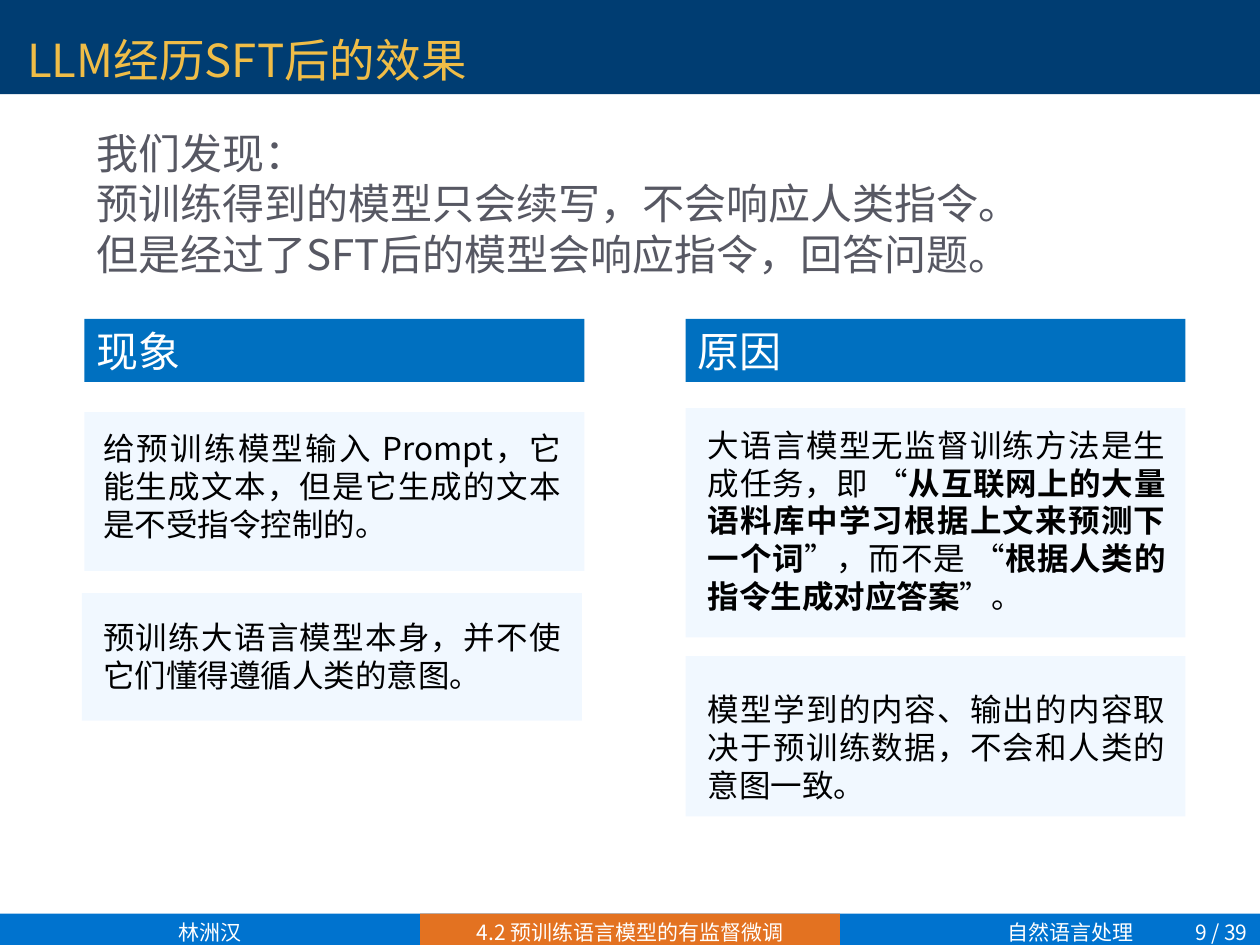
from dataclasses import dataclass

from lxml.etree import SubElement
from pptx import Presentation
from pptx.dml.color import RGBColor
from pptx.enum.shapes import MSO_SHAPE
from pptx.enum.text import MSO_ANCHOR, PP_ALIGN
from pptx.oxml.ns import qn
from pptx.shapes.autoshape import Shape
from pptx.slide import Slide
from pptx.text.text import TextFrame
from pptx.util import Cm, Pt


@dataclass(frozen=True)
class Theme:
    navy: str = "003D72"
    blue: str = "0073CF"
    orange: str = "E37221"
    heading_blue: str = "0070C0"
    panel: str = "B3DBFF"
    panel_alpha: int = 18
    gold: str = "F0BD47"
    gray: str = "575863"
    black: str = "000000"
    white: str = "FFFFFF"
    title_size: int = 26
    large_size: int = 24
    body_size: int = 18
    footer_size: int = 12
    line_factor: float = 1.2
    font: str = "Noto Sans CJK SC"
    heading_font: str = "Arial"


@dataclass(frozen=True)
class Box:
    left: float
    top: float
    width: float
    height: float


@dataclass(frozen=True)
class Span:
    text: str
    bold: bool = False


@dataclass(frozen=True)
class Style:
    size: int
    color: str
    font: str
    align: PP_ALIGN = PP_ALIGN.LEFT
    anchor: MSO_ANCHOR = MSO_ANCHOR.TOP
    gap_lines: int = 0


@dataclass(frozen=True)
class Column:
    heading: str
    heading_box: Box
    panels: list[Box]
    text_box: Box
    paragraphs: list[list[Span]]


THEME = Theme()
WIDTH, HEIGHT = 25.4, 19.05
THIRD = WIDTH / 3
FOOTER_HEIGHT = 0.63
FOOTER_TOP = HEIGHT - FOOTER_HEIGHT
PANEL_WIDTH = 10.08
TITLE = Style(THEME.title_size, THEME.gold, THEME.font, anchor=MSO_ANCHOR.MIDDLE)
INTRO = Style(THEME.large_size, THEME.gray, THEME.font)
HEADING = Style(THEME.large_size, THEME.white, THEME.heading_font, anchor=MSO_ANCHOR.MIDDLE)
BODY = Style(THEME.body_size, THEME.black, THEME.font, PP_ALIGN.JUSTIFY, gap_lines=2)
FOOTER_CENTER = Style(THEME.footer_size, THEME.white, THEME.font, PP_ALIGN.CENTER)
FOOTER_RIGHT = Style(THEME.footer_size, THEME.white, THEME.font, PP_ALIGN.RIGHT)

INTRO_LINES = [
    [Span("我们发现：")],
    [Span("预训练得到的模型只会续写，不会响应人类指令。")],
    [Span("但是经过了SFT后的模型会响应指令，回答问题。")],
]

COLUMNS = [
    Column(
        "现象",
        Box(1.7, 6.43, PANEL_WIDTH, 1.27),
        [Box(1.7, 8.31, PANEL_WIDTH, 3.2), Box(1.65, 11.96, PANEL_WIDTH, 2.57)],
        Box(1.83, 8.53, 9.73, 5.64),
        [
            [Span("给预训练模型输入 Prompt，它能生成文本，但是它生成的文本是不受指令控制的。")],
            [Span("预训练大语言模型本身，并不使它们懂得遵循人类的意图。")],
        ],
    ),
    Column(
        "原因",
        Box(13.82, 6.43, PANEL_WIDTH, 1.27),
        [Box(13.82, 8.23, PANEL_WIDTH, 4.62), Box(13.82, 13.23, PANEL_WIDTH, 3.23)],
        Box(14.02, 8.46, 9.73, 7.95),
        [
            [
                Span("大语言模型无监督训练方法是生成任务，即 “"),
                Span("从互联网上的大量语料库中学习根据上文来预测下一个词", True),
                Span("”，而不是 “"),
                Span("根据人类的指令生成对应答案", True),
                Span("”。"),
            ],
            [Span("模型学到的内容、输出的内容取决于预训练数据，不会和人类的意图一致。")],
        ],
    ),
]


def lengths(box: Box) -> tuple[Cm, Cm, Cm, Cm]:
    return Cm(box.left), Cm(box.top), Cm(box.width), Cm(box.height)


def add_bar(slide: Slide, box: Box, color: str, alpha: int = 100) -> Shape:
    shape = slide.shapes.add_shape(MSO_SHAPE.RECTANGLE, *lengths(box))
    shape.shadow.inherit = False
    shape.line.fill.background()
    shape.fill.solid()
    shape.fill.fore_color.rgb = RGBColor.from_string(color)
    if alpha < 100:
        color_element = shape.fill._xPr.find(qn("a:solidFill"))[0]
        SubElement(color_element, qn("a:alpha"), val=str(alpha * 1000))
    return shape


def write_text(frame: TextFrame, paragraphs: list[list[Span]], style: Style) -> None:
    frame.word_wrap = True
    frame.vertical_anchor = style.anchor
    line_height = style.size * THEME.line_factor
    for index, spans in enumerate(paragraphs):
        paragraph = frame.add_paragraph() if index else frame.paragraphs[0]
        paragraph.alignment = style.align
        paragraph.line_spacing = Pt(line_height)
        if index and style.gap_lines:
            paragraph.space_before = Pt(line_height * style.gap_lines)
        for span in spans:
            run = paragraph.add_run()
            run.text = span.text
            run.font.size = Pt(style.size)
            run.font.bold = span.bold
            run.font.name = style.font
            run.font.color.rgb = RGBColor.from_string(style.color)
            SubElement(run.font._element, qn("a:ea"), typeface=THEME.font)


def add_text(slide: Slide, box: Box, paragraphs: list[list[Span]], style: Style) -> None:
    write_text(slide.shapes.add_textbox(*lengths(box)).text_frame, paragraphs, style)


def add_column(slide: Slide, column: Column) -> None:
    for panel in column.panels:
        add_bar(slide, panel, THEME.panel, THEME.panel_alpha)
    add_text(slide, column.text_box, column.paragraphs, BODY)
    heading = add_bar(slide, column.heading_box, THEME.heading_blue)
    write_text(heading.text_frame, [[Span(column.heading)]], HEADING)


def add_footer(slide: Slide) -> None:
    add_bar(slide, Box(0, FOOTER_TOP, WIDTH, FOOTER_HEIGHT), THEME.blue)
    add_bar(slide, Box(THIRD, FOOTER_TOP, THIRD, FOOTER_HEIGHT), THEME.orange)
    entries = [
        ("林洲汉", 0, THIRD, FOOTER_CENTER),
        ("4.2 预训练语言模型的有监督微调", THIRD, THIRD, FOOTER_CENTER),
        ("自然语言处理", 2 * THIRD, 6.16, FOOTER_RIGHT),
        ("9 / 39", WIDTH - 2.2, 2.2, FOOTER_RIGHT),
    ]
    for text, left, width, style in entries:
        add_text(slide, Box(left, FOOTER_TOP, width, FOOTER_HEIGHT), [[Span(text)]], style)


def main() -> None:
    presentation = Presentation()
    presentation.slide_width = Cm(WIDTH)
    presentation.slide_height = Cm(HEIGHT)
    slide = presentation.slides.add_slide(presentation.slide_layouts[6])
    add_footer(slide)
    add_bar(slide, Box(0, 0, WIDTH, 1.9), THEME.navy)
    add_text(slide, Box(0.3, 0.43, 21.9, 1.52), [[Span("LLM经历SFT后的效果")]], TITLE)
    add_text(slide, Box(1.7, 2.44, 22.78, 3.33), INTRO_LINES, INTRO)
    for column in COLUMNS:
        add_column(slide, column)
    presentation.save("out.pptx")


if __name__ == "__main__":
    main()
